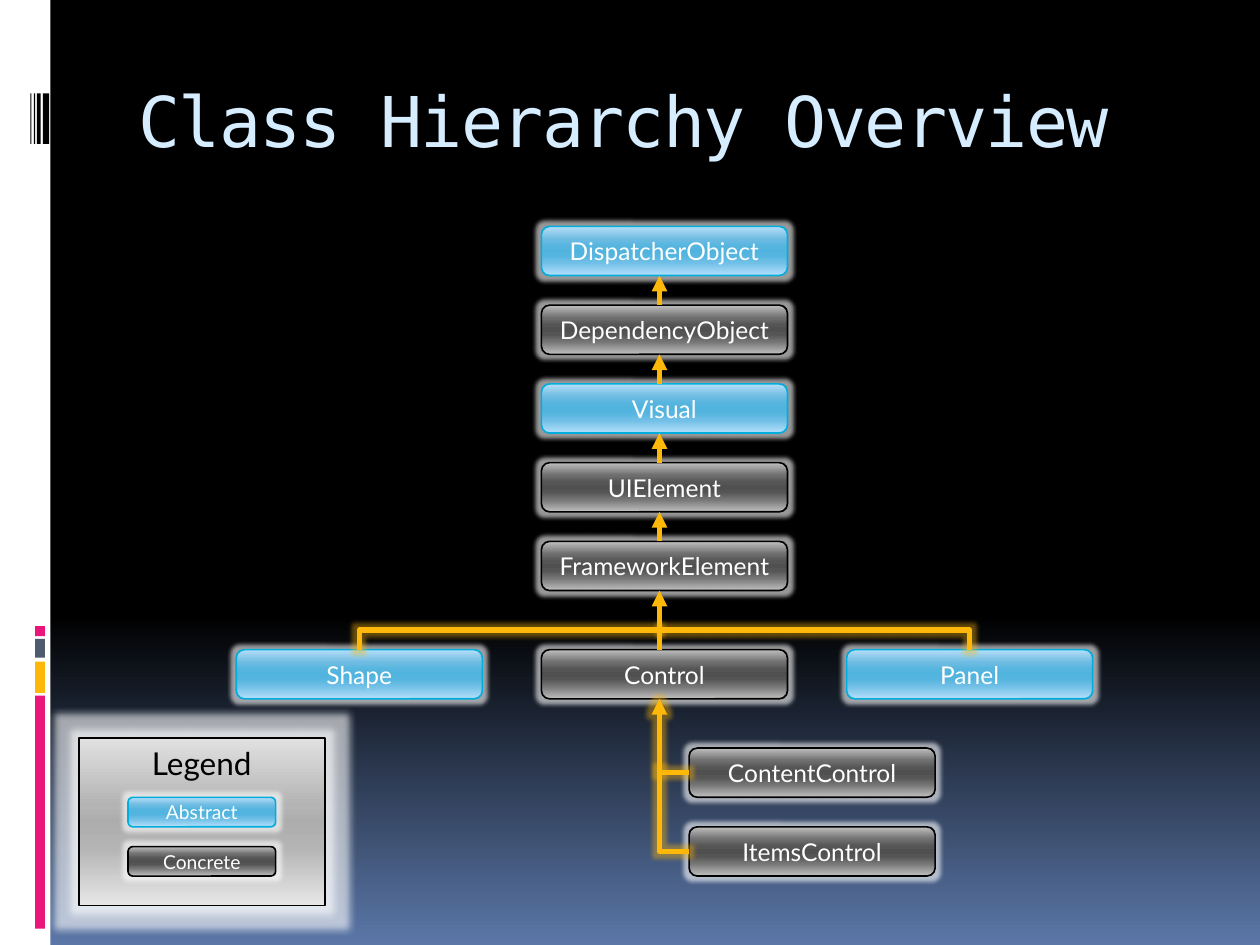
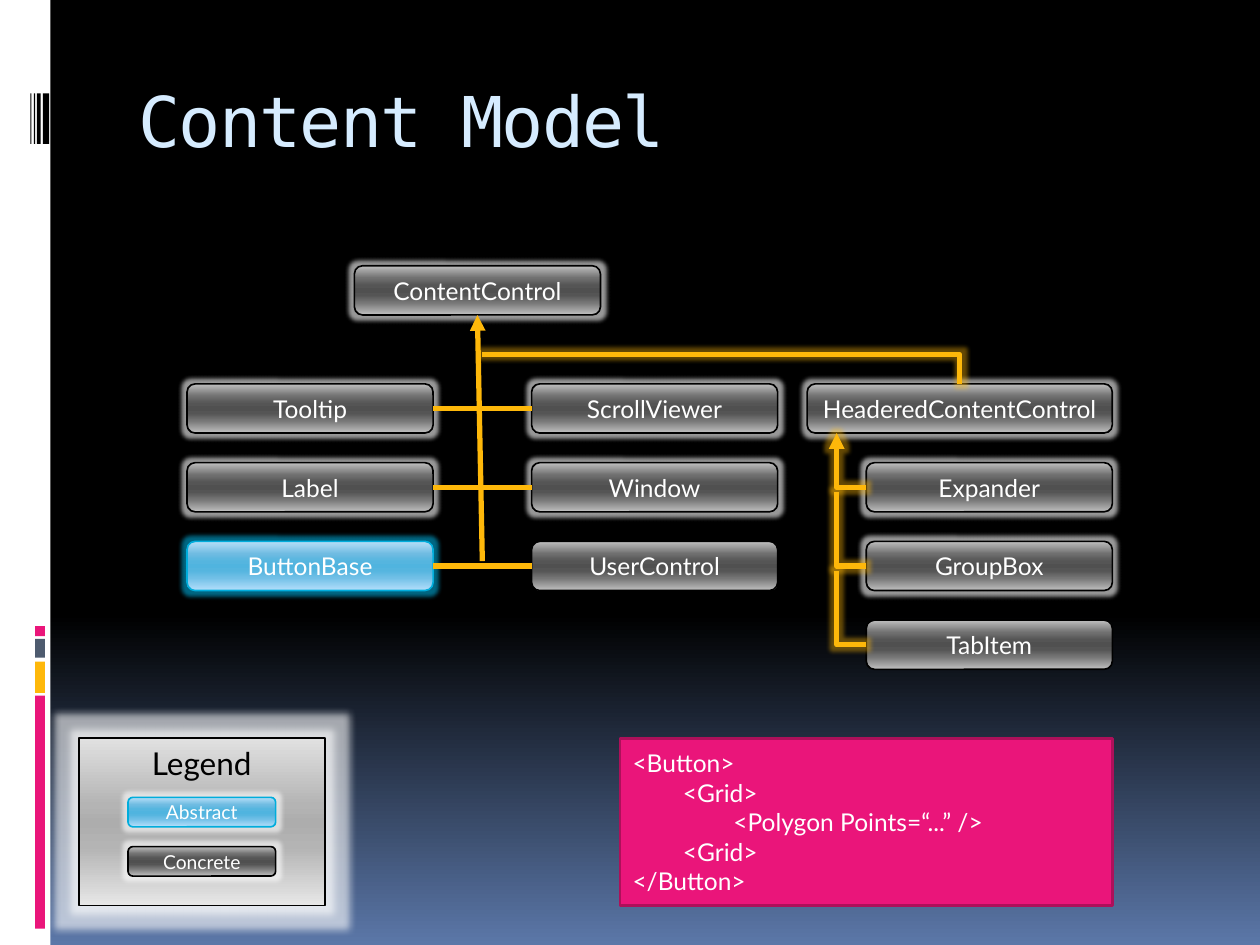
"""Build two class diagram slides on a grid of 128 columns by 96 rows."""
from lxml import etree
from pptx import Presentation
from pptx.dml.color import RGBColor
from pptx.enum.shapes import MSO_CONNECTOR, MSO_SHAPE
from pptx.enum.text import MSO_ANCHOR, PP_ALIGN
from pptx.oxml.ns import qn
from pptx.util import Inches, Pt

RECTANGLE, ROUNDED = MSO_SHAPE.RECTANGLE, MSO_SHAPE.ROUNDED_RECTANGLE
STRAIGHT = MSO_CONNECTOR.STRAIGHT
TOP, MIDDLE = MSO_ANCHOR.TOP, MSO_ANCHOR.MIDDLE
LEFT, CENTER = PP_ALIGN.LEFT, PP_ALIGN.CENTER
LEFT_SIDE, BOTTOM_SIDE, RIGHT_SIDE = 1, 2, 3

SLIDE_WIDTH, SLIDE_HEIGHT = Inches(10), Inches(7.5)
COLUMN, ROW = SLIDE_WIDTH / 128, SLIDE_HEIGHT / 96
BOX_WIDTH, BOX_HEIGHT = 25, 5
FIRST_ROW, ROW_PITCH = 23, 8
LEGEND_TOP, LEGEND_HEIGHT = 75, 17

TITLE_FONT, BODY_FONT = "DejaVu Sans Mono", "Lato"
BLACK, WHITE, PINK, YELLOW = "000000", "FFFFFF", "EA157A", "FEB80A"
SLATE, CYAN, PALE_BLUE, DARK_PINK = "4E5B6F", "00ADDC", "D6ECFF", "AD105A"

BACKGROUND = [(0, BLACK), (65, BLACK), (100, "5B77A8")]
SILVER = [(0, "E1E1E1"), (40, "B4B4B4"), (50, "ADADAD"), (65, "B4B4B4"), (100, "E7E7E7")]
ABSTRACT = [(0, "B7DFF8"), (25, "70BCE2"), (40, "55B5DF"), (50, "50B4DF"),
            (60, "55B5DF"), (75, "72C0E7"), (100, "B4DFFB")]
CONCRETE = [(0, "C0C0C0"), (25, "707070"), (40, "555555"), (50, "505050"),
            (60, "555555"), (75, "767676"), (100, "C0C0C0")]

SIDE_BAND = [
    (0, 0, 5.12, 96, WHITE),
    (3.58, 70.66, 1, 23.68, PINK),
    (3.58, 67.2, 1, 3.2, YELLOW),
    (3.58, 64.9, 1, 1.92, SLATE),
    (3.58, 63.6, 1, 1.02, PINK),
    (4.35, 9.5, 0.64, 5.12, BLACK),
    (3.75, 9.5, 0.38, 5.12, BLACK),
    (3.45, 9.5, 0.13, 5.12, BLACK),
    (3.1, 9.5, 0.1, 5.12, BLACK),
]


def colour(value):
    """Turn a hex string into a colour."""
    return RGBColor.from_string(value)


def place(*cells):
    """Turn alternating columns and rows into slide lengths."""
    return [round(cell * (ROW if index % 2 else COLUMN)) for index, cell in enumerate(cells)]


def grid_row(index):
    """Give the top of a row of boxes."""
    return FIRST_ROW + ROW_PITCH * index


def paint(fill, element, paint_value):
    """Fill with one colour or with a downward gradient."""
    if isinstance(paint_value, str):
        fill.solid()
        fill.fore_color.rgb = colour(paint_value)
        return
    fill.gradient()
    fill.gradient_angle = 270
    stops = next(element.iter(qn("a:gsLst")))
    for stop in list(stops):
        stops.remove(stop)
    for position, value in paint_value:
        stop = etree.SubElement(stops, qn("a:gs"), pos=str(position * 1000))
        etree.SubElement(stop, qn("a:srgbClr"), val=value)


def set_glow(shape, value=None, radius=5, opacity=60):
    """Replace the theme effects by a glow, or by none."""
    effects = etree.SubElement(shape._element.spPr, qn("a:effectLst"))
    if value:
        glow = etree.SubElement(effects, qn("a:glow"), rad=str(Pt(radius)))
        tint = etree.SubElement(glow, qn("a:srgbClr"), val=value)
        etree.SubElement(tint, qn("a:alpha"), val=str(opacity * 1000))


def add_panel(page, kind, cells, fill, line=None, width=0.94, glow=None, radius=5):
    """Add a filled preset shape."""
    panel = page.shapes.add_shape(kind, *place(*cells))
    paint(panel.fill, panel._element, fill)
    if line:
        panel.line.color.rgb = colour(line)
        panel.line.width = Pt(width)
    else:
        panel.line.fill.background()
    set_glow(panel, glow, radius)
    return panel


def write(box, lines, size, value=WHITE, font=BODY_FONT, align=CENTER, anchor=MIDDLE):
    """Write one paragraph a line and return the runs."""
    frame = box.text_frame
    frame.word_wrap = True
    frame.vertical_anchor = anchor
    spans = []
    for index, text in enumerate(lines):
        para = frame.add_paragraph() if index else frame.paragraphs[0]
        para.alignment = align
        span = para.add_run()
        span.text = text
        span.font.name, span.font.size = font, Pt(size)
        span.font.color.rgb = colour(value)
        spans.append(span)
    return spans


def add_class(page, name, left, top, kind=CONCRETE, width=BOX_WIDTH, height=BOX_HEIGHT,
              size=14, glow=WHITE):
    """Add a rounded box that names a class."""
    line = CYAN if kind is ABSTRACT else BLACK
    box = add_panel(page, ROUNDED, (left, top, width, height), kind, line, glow=glow)
    write(box, [name], size)
    return box


def add_line(page, start, end, arrow=False, glow=None):
    """Add a straight yellow line."""
    line = page.shapes.add_connector(STRAIGHT, *place(*start, *end))
    line.line.color.rgb = colour(YELLOW)
    line.line.width = Pt(3)
    if arrow:
        etree.SubElement(line.line._get_or_add_ln(), qn("a:tailEnd"), type="triangle")
    set_glow(line, glow, opacity=40)
    return line


def add_elbow(page, start, end, arrow=False):
    """Add a glowing line that runs across and then up or down."""
    elbow = add_line(page, start, end, arrow, YELLOW)
    elbow._element.spPr.find(qn("a:prstGeom")).set("prst", "bentConnector2")


def add_rung(page, left_box, right_box):
    """Join the facing sides of two boxes."""
    rung = add_line(page, (0, 0), (1, 1), glow=YELLOW)
    rung.begin_connect(left_box, RIGHT_SIDE)
    rung.end_connect(right_box, LEFT_SIDE)


def add_legend(page):
    """Add the key to the two kinds of class."""
    panel = add_panel(page, RECTANGLE, (8, LEGEND_TOP, BOX_WIDTH, LEGEND_HEIGHT), SILVER,
                      BLACK, glow=WHITE, radius=9)
    write(panel, ["Legend"], 18, BLACK, anchor=TOP)
    for name, top, kind in (("Abstract", 81, ABSTRACT), ("Concrete", 86, CONCRETE)):
        add_class(page, name, 13, top, kind, 15, 3, 11)


def add_page(deck, title):
    """Add a slide with background, side band, title and legend."""
    page = deck.slides.add_slide(deck.slide_layouts[6])
    paint(page.background.fill, page._element, BACKGROUND)
    for *cells, fill in SIDE_BAND:
        add_panel(page, RECTANGLE, cells, fill)
    box = page.shapes.add_textbox(*place(12.8, 7.2, 108.8, 12.8))
    span, = write(box, [title], 40, PALE_BLUE, TITLE_FONT, LEFT, TOP)
    span.font._element.set("spc", "-100")
    add_legend(page)
    return page


def add_code(page, cells, lines):
    """Add a pink panel of code from pairs of indent level and text."""
    panel = add_panel(page, RECTANGLE, cells, PINK, DARK_PINK, 1.5)
    write(panel, [text for _, text in lines], 14, align=LEFT)
    for para, (level, _) in zip(panel.text_frame.paragraphs, lines):
        para._p.get_or_add_pPr().set("marL", str(Inches(0.4 * level)))


def build_hierarchy(deck):
    """Show the chain of base classes and its branches."""
    page = add_page(deck, "Class Hierarchy Overview")
    chain = [("DispatcherObject", ABSTRACT), ("DependencyObject", CONCRETE),
             ("Visual", ABSTRACT), ("UIElement", CONCRETE), ("FrameworkElement", CONCRETE)]
    middle, trunk, branch_top, bus = 55, 67, 66, 64
    for index, (name, kind) in enumerate(chain):
        add_class(page, name, middle, grid_row(index), kind)
    for name, left, kind in (("Shape", 24, ABSTRACT), ("Control", middle, CONCRETE),
                             ("Panel", 86, ABSTRACT)):
        add_class(page, name, left, branch_top, kind)
    children = [("ContentControl", 76), ("ItemsControl", 84)]
    for name, top in children:
        add_class(page, name, 70, top)
    for index in range(len(chain)):
        start = grid_row(index + 1) if index + 1 < len(chain) else branch_top
        add_line(page, (trunk, start), (trunk, grid_row(index) + BOX_HEIGHT), arrow=True)
    add_elbow(page, (70, 78.5), (trunk, branch_top + BOX_HEIGHT), arrow=True)
    add_elbow(page, (70, 86.5), (trunk, 78))
    for branch in (36.5, 98.5):
        add_elbow(page, (trunk, bus), (branch, branch_top))


def build_content_model(deck):
    """Show the classes that hold content, with a code sample."""
    page = add_page(deck, "Content Model")
    root = add_class(page, "ContentControl", 36, 27)
    trunk = add_line(page, (49, 57), (48.5, 32), arrow=True)
    trunk.end_connect(root, BOTTOM_SIDE)
    pairs = [("Tooltip", "ScrollViewer"), ("Label", "Window"), ("ButtonBase", "UserControl")]
    for index, (left_name, right_name) in enumerate(pairs, 2):
        is_base = left_name == "ButtonBase"
        left_box = add_class(page, left_name, 19, grid_row(index),
                             ABSTRACT if is_base else CONCRETE, glow=CYAN if is_base else WHITE)
        right_box = add_class(page, right_name, 54, grid_row(index),
                              glow=None if is_base else WHITE)
        add_rung(page, left_box, right_box)
    add_class(page, "HeaderedContentControl", 82, grid_row(2), width=31)
    for index, name in enumerate(("Expander", "GroupBox", "TabItem"), 3):
        add_class(page, name, 88, grid_row(index), glow=None if name == "TabItem" else WHITE)
        end = grid_row(2) + BOX_HEIGHT if index == 3 else grid_row(index) - 5
        add_elbow(page, (88, grid_row(index) + 2.5), (85, end), arrow=index == 3)
    add_elbow(page, (49, 36), (97.5, grid_row(2)))
    add_code(page, (63, LEGEND_TOP, 50, LEGEND_HEIGHT), [
        (0, "<Button>"), (1, "<Grid>"), (2, "<Polygon Points=“...” />"),
        (1, "<Grid>"), (0, "</Button>")])


def main():
    """Build and save the deck."""
    deck = Presentation()
    deck.slide_width, deck.slide_height = SLIDE_WIDTH, SLIDE_HEIGHT
    build_hierarchy(deck)
    build_content_model(deck)
    deck.save("out.pptx")


if __name__ == "__main__":
    main()
